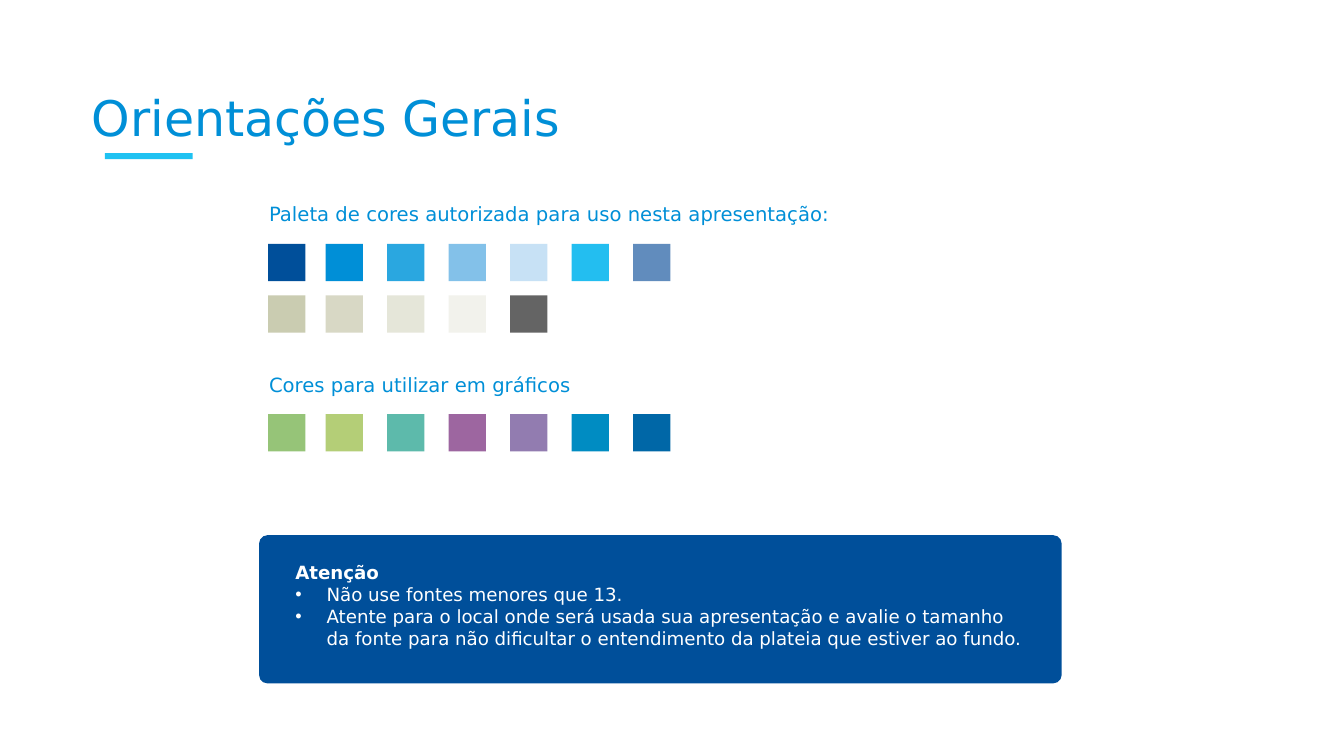
from pptx import Presentation
from pptx import util as u
from pptx.dml.color import RGBColor
from pptx.enum import shapes, text
from lxml import etree

TITLE = "Orientações Gerais"
HEADINGS = [
    ("Paleta de cores autorizada para uso nesta apresentação:", 1.95, 7.96),
    ("Cores para utilizar em gráficos", 3.65, 3.47),
]
SWATCH_ROWS = [
    (2.42, ["004F9A", "008FD7", "2AA7E0", "83C1E9", "C7E1F5", "23BEF0", "618CBD"]),
    (2.93, ["CACCB1", "D8D8C5", "E5E6D9", "F2F2EC", "646464"]),
    (4.11, ["96C478", "B4CE77", "5DBAAB", "9D66A0", "927CB0", "008CC2", "0067A7"]),
]
NOTE = [
    ("Atenção", False),
    ("Não use fontes menores que 13.", True),
    ("Atente para o local onde será usada sua apresentação e avalie o tamanho "
     "da fonte para não dificultar o entendimento da plateia que estiver ao fundo.", True),
]
COLORS = {"navy": "004F9A", "blue": "008FD7", "accent": "1FC2F2", "white": "FFFFFF"}
FONT = "DejaVu Sans"
SWATCH, FIRST_X, SECOND_X, STEP = 0.37, 2.66, 3.23, 0.61
INDENT = 0.31

prs = Presentation()
prs.slide_width, prs.slide_height = u.Inches(13.33), u.Inches(7.5)
s = prs.slides.add_slide(prs.slide_layouts[1])


def place(sp, x, y, w, h):
    sp.left, sp.top, sp.width, sp.height = map(u.Inches, (x, y, w, h))


def add_box(kind, x, y, w, h, color):
    sp = s.shapes.add_shape(kind, *map(u.Inches, (x, y, w, h)))
    sp.shadow.inherit = False
    sp.fill.solid()
    sp.fill.fore_color.rgb = RGBColor.from_string(color)
    sp.line.fill.background()
    return sp


def write(p, words, size=14, color="blue", bold=False, spacing=1.0):
    p.alignment = text.PP_ALIGN.LEFT
    p.line_spacing = spacing
    p.space_before = p.space_after = u.Pt(0)
    r = p.add_run()
    r.text = words
    r.font.name, r.font.size, r.font.bold = FONT, u.Pt(size), bold
    r.font.color.rgb = RGBColor.from_string(COLORS[color])


def set_bullet(p, bulleted):
    pPr = p._p.get_or_add_pPr()
    indent = u.Inches(INDENT) if bulleted else 0
    pPr.set("marL", str(indent))
    pPr.set("indent", str(-indent))
    ns = "{http://schemas.openxmlformats.org/drawingml/2006/main}"
    if bulleted:
        etree.SubElement(pPr, ns + "buFont", typeface="Arial")
        etree.SubElement(pPr, ns + "buChar", char="•")
    else:
        etree.SubElement(pPr, ns + "buNone")


def frame(sp, anchor):
    tf = sp.text_frame
    tf.word_wrap = True
    tf.auto_size = text.MSO_AUTO_SIZE.NONE
    tf.vertical_anchor = anchor
    return tf


title, note = s.shapes.title, s.placeholders[1]
place(title, 0.81, 0.84, 11.5, 0.72)
tf = frame(title, text.MSO_ANCHOR.MIDDLE)
write(tf.paragraphs[0], TITLE, size=35, spacing=0.9)
add_box(shapes.MSO_SHAPE.RECTANGLE, 1.04, 1.52, 0.87, 0.06, COLORS["accent"])

callout = add_box(shapes.MSO_SHAPE.ROUNDED_RECTANGLE, 2.57, 5.31, 7.96, 1.47, COLORS["navy"])
callout.adjustments[0] = 0.056
note.element.addprevious(callout.element)
place(note, 2.83, 5.52, 7.49, 0.98)
tf = frame(note, text.MSO_ANCHOR.TOP)
for i, (words, bulleted) in enumerate(NOTE):
    p = tf.add_paragraph() if i else tf.paragraphs[0]
    write(p, words, size=13, color="white", bold=not bulleted)
    set_bullet(p, bulleted)

for words, y, w in HEADINGS:
    sp = s.shapes.add_textbox(*map(u.Inches, (2.57, y, w, 0.34)))
    write(frame(sp, text.MSO_ANCHOR.TOP).paragraphs[0], words)

for y, row in SWATCH_ROWS:
    for i, color in enumerate(row):
        x = SECOND_X + (i - 1) * STEP if i else FIRST_X
        add_box(shapes.MSO_SHAPE.RECTANGLE, x, y, SWATCH, SWATCH, color)

prs.save("out.pptx")
